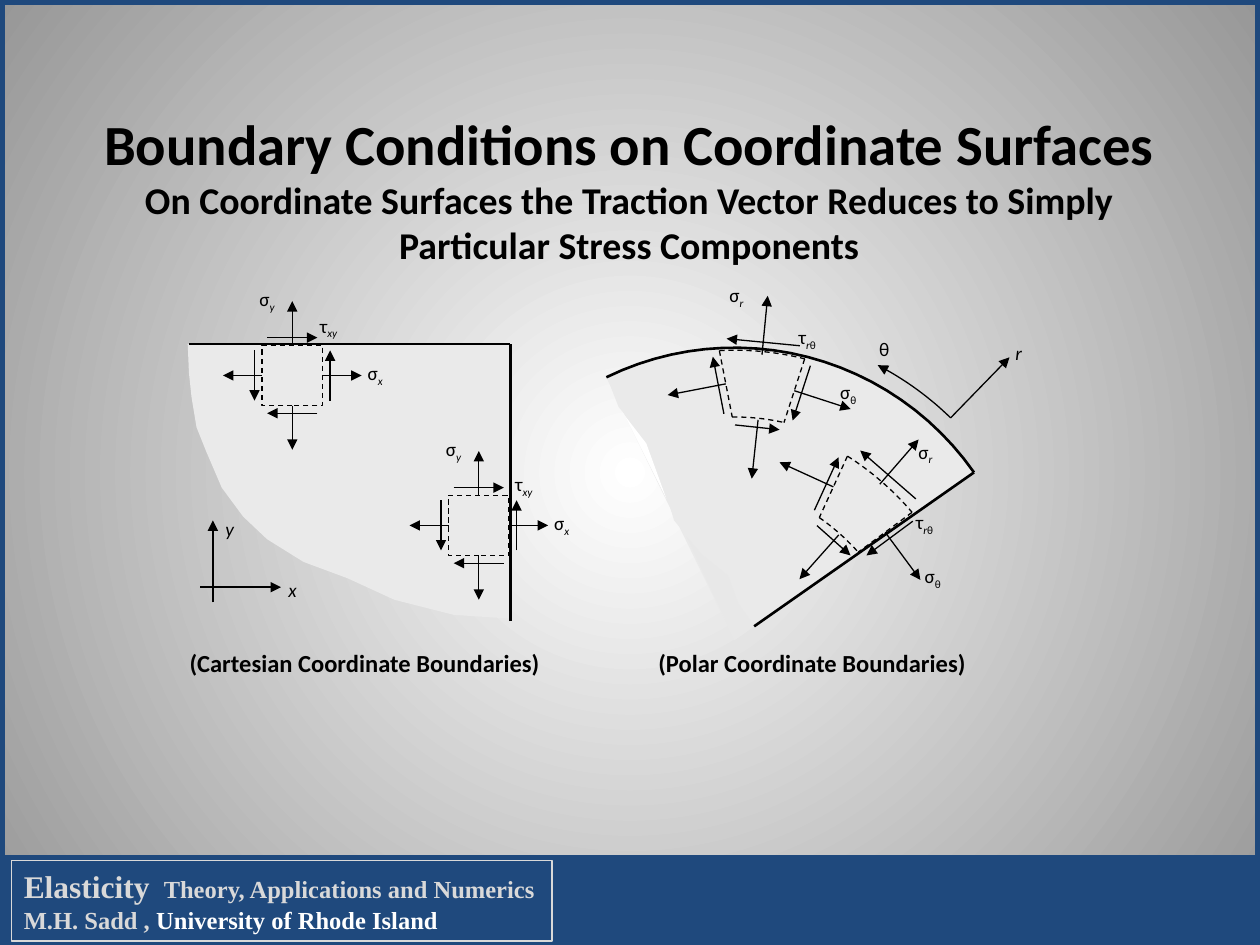
"""Build a slide of stress boundary conditions on Cartesian and polar surfaces."""
import math

import lxml.etree
import pptx
import pptx.dml.color
import pptx.enum.dml
import pptx.enum.shapes
import pptx.enum.text
import pptx.oxml.ns
import pptx.util

Inches, Pt = pptx.util.Inches, pptx.util.Pt
RGBColor = pptx.dml.color.RGBColor
qn = pptx.oxml.ns.qn
RECTANGLE = pptx.enum.shapes.MSO_SHAPE.RECTANGLE
STRAIGHT = pptx.enum.shapes.MSO_CONNECTOR.STRAIGHT

BLACK = RGBColor(0x00, 0x00, 0x00)
WHITE = RGBColor(0xFF, 0xFF, 0xFF)
EDGE_GRAY = RGBColor(0x97, 0x97, 0x97)
BODY_GRAY = RGBColor(0xEA, 0xEA, 0xEA)
CUT_GRAY = RGBColor(0xE8, 0xE8, 0xE8)
RULE_GRAY = RGBColor(0xD9, 0xD9, 0xD9)
NAVY = RGBColor(0x1F, 0x49, 0x7D)
THIN, THICK = 0.75, 1.5


def arc(centre, radius, start, end, steps=24):
    """Return points on a circle, with angles in degrees clockwise from the top."""
    angles = [math.radians(start + (end - start) * step / steps) for step in range(steps + 1)]
    return [(centre[0] + radius * math.sin(a), centre[1] - radius * math.cos(a)) for a in angles]


def stroke(item, weight, style="solid", color=BLACK):
    """Draw the line of a shape or connector as solid, dash or arrow."""
    item.line.color.rgb = color
    item.line.width = Pt(weight)
    if style == "dash":
        item.line.dash_style = pptx.enum.dml.MSO_LINE.DASH
    if style == "arrow":
        outline = item.element.xpath(".//a:ln")[0]
        lxml.etree.SubElement(outline, qn("a:tailEnd"), type="triangle")


deck = pptx.Presentation()
deck.slide_width, deck.slide_height = Inches(10), Inches(7.5)
page = deck.slides.add_slide(deck.slide_layouts[6])

backdrop = page.background.fill
backdrop.gradient()
for stop, position, color in zip(backdrop.gradient_stops, (0, 1), (WHITE, EDGE_GRAY)):
    stop.position = position
    stop.color.rgb = color
gradient = page.element.xpath(".//p:bg//a:gradFill")[0]
gradient.remove(gradient.find(qn("a:lin")))
circle = lxml.etree.SubElement(gradient, qn("a:path"), path="circle")
lxml.etree.SubElement(circle, qn("a:fillToRect"), l="50000", t="50000", r="50000", b="50000")

pole, body_radius, first_angle, last_angle = (5.83, 5.08), 2.32, -26, 55
axis_radius, axis_tip, axis_angle = 2.46, 3.13, 44.2
rim = arc(pole, body_radius, first_angle, last_angle)
theta_axis = arc(pole, axis_radius, axis_angle, 27.5)
broken_edge = [(4.82, 3), (4.91, 3.23), (5.14, 3.51), (5.26, 3.83), (5.35, 4.13),
               (5.57, 4.4), (5.78, 4.57), (5.86, 4.79), (5.99, 4.97)]
upper_cut = [(4.96, 3.3), (5.13, 3.52), (5.29, 3.96)]
lower_cut = [(5.45, 4.26), *broken_edge[5:], pole]
corner_x, corner_y = 4.05, 2.73
cartesian_body = [(1.49, corner_y), (corner_x, corner_y), (corner_x, 4.91), (3.6, 4.88),
                  (3.13, 4.76), (2.76, 4.59), (2.41, 4.46), (2.12, 4.28), (1.93, 4.1),
                  (1.76, 3.87), (1.64, 3.59), (1.56, 3.39), (1.52, 3.15), (1.5, 2.96)]

areas = [(rim + [pole], BODY_GRAY), (broken_edge, BODY_GRAY), (lower_cut, CUT_GRAY),
         (upper_cut, WHITE), (cartesian_body, BODY_GRAY)]
curves = [(rim, THICK, "solid"), (theta_axis, THIN, "arrow")]
segments = [
    (*arc(pole, 0.19, last_angle, last_angle, 1)[:1], rim[-1], THICK, "solid"),
    ((1.5, corner_y), (corner_x, corner_y), THICK, "solid"),
    ((corner_x, 4.93), (corner_x, corner_y), THICK, "solid"),
    (theta_axis[0], arc(pole, axis_tip, axis_angle, axis_angle, 1)[0], THIN, "arrow"),
    ((1.59, 4.66), (2.23, 4.66), THIN, "arrow"),
    ((1.69, 4.78), (1.69, 4.13), THIN, "arrow"),
]

elements = []
for centre, turn in ((pole, 0), ((5.49, 5.56), 35.5)):
    outer = arc(centre, 2.3, turn - 3, turn + 14)
    inner = arc(centre, 1.77, turn - 0.6, turn + 12.8)
    curves += [(outer, THIN, "dash"), (inner, THIN, "dash")]
    segments += [(outer[end], inner[end], THIN, "dash") for end in (0, -1)]
    corners = [outer[0], outer[-1], inner[-1], inner[0]]
    elements.append((corners, None, (0.47, 0.47), (0.1, 0.06), 0.86, -1))

for points, color in areas + [(points, None) for points, weight, style in curves]:
    vertices = [(Inches(x), Inches(y)) for x, y in points]
    builder = page.shapes.build_freeform(*vertices[0])
    builder.add_line_segments(vertices[1:], close=color is not None)
    region = builder.convert_to_shape()
    region.shadow.inherit = False
    if color is None:
        region.fill.background()
        stroke(region, *next((w, s) for p, w, s in curves if p is points))
    else:
        region.fill.solid()
        region.fill.fore_color.rgb = color
        region.line.fill.background()

side = 0.48
for left, top in ((2.08, 2.74), (3.56, 3.93)):
    square = page.shapes.add_shape(RECTANGLE, Inches(left), Inches(top), Inches(side), Inches(side))
    square.shadow.inherit = False
    square.fill.solid()
    square.fill.fore_color.rgb = BODY_GRAY
    stroke(square, THIN, "dash")
    right, bottom = left + side, top + side
    corners = [(left, top), (right, top), (right, bottom), (left, bottom)]
    elements.append((corners, square, (0.35, 0.31), (0.06, 0.06), 0.83, 1))

joints = {}
for corners, square, reaches, gaps, shear_share, shear_sign in elements:
    for face in range(4):
        (x1, y1), (x2, y2) = corners[face], corners[(face + 1) % 4]
        length = math.hypot(x2 - x1, y2 - y1)
        along_x, along_y = (x2 - x1) / length, (y2 - y1) / length
        normal_x, normal_y = along_y, -along_x
        middle_x, middle_y = (x1 + x2) / 2, (y1 + y2) / 2
        reach, gap = reaches[face % 2], gaps[min(face, 1)]
        tip = (middle_x + reach * normal_x, middle_y + reach * normal_y)
        if square is not None:
            joints[len(segments)] = (square, -face % 4)
        segments.append(((middle_x, middle_y), tip, THIN, "arrow"))
        half = shear_sign * (-1) ** face * shear_share * length / 2
        shear_x, shear_y = middle_x + gap * normal_x, middle_y + gap * normal_y
        shear_ends = [(shear_x + s * half * along_x, shear_y + s * half * along_y) for s in (-1, 1)]
        segments.append((*shear_ends, THIN, "arrow"))

for index, (start, end, weight, style) in enumerate(segments):
    connector = page.shapes.add_connector(STRAIGHT, *(Inches(value) for value in (*start, *end)))
    stroke(connector, weight, style)
    lxml.etree.SubElement(connector.element.spPr, qn("a:effectLst"))
    if index in joints:
        connector.begin_connect(*joints[index])

labels = [
    ("σ", ("θ",), [(6.57, 2.94), (7.24, 4.4)]),
    ("σ", ("r",), [(5.69, 2.17), (7.19, 3.41)]),
    ("τ", ("r", "θ"), [(6.24, 2.5), (7.17, 3.97)]),
    ("σ", ("x",), [(2.82, 2.79), (4.3, 3.98)]),
    ("σ", ("y",), [(1.96, 2.2), (3.44, 3.39)]),
    ("τ", ("xy",), [(2.44, 2.41), (3.99, 3.67)]),
    ("r", (), [(7.96, 2.63)]),
    ("θ", (), [(6.88, 2.6)]),
    ("x", (), [(2.19, 4.51)]),
    ("y", (), [(1.69, 4.03)]),
]
for symbol, subscripts, places in labels:
    for left, top in places:
        box = page.shapes.add_textbox(Inches(left), Inches(top), Inches(0.43), Inches(0.42))
        box.text_frame.word_wrap = True
        para = box.text_frame.paragraphs[0]
        para.line_spacing, para.space_after = 1.15, Pt(10)
        for position, text in enumerate((symbol, *subscripts)):
            span = para.add_run()
            span.text = text
            span.font.name, span.font.size = "Calibri", Pt(11)
            span.font.color.rgb = BLACK
            span.font.italic = text.isascii()
            if position > 0:
                span.font._element.set("baseline", "-25000")

headings = [
    (0.53, 0.8, 8.93, 1.38, "Boundary Conditions on Coordinate Surfaces\vOn Coordinate Surfaces the "
     "Traction Vector Reduces to Simply Particular Stress Components", (32.4, 21.6)),
    (1.38, 5.11, 3.03, 0.3, "(Cartesian Coordinate Boundaries)", (14,)),
    (5, 5.11, 2.89, 0.3, "(Polar Coordinate Boundaries)", (14,)),
]
for *frame, text, sizes in headings:
    box = page.shapes.add_textbox(*(Inches(value) for value in frame))
    box.text_frame.word_wrap = True
    box.text_frame.vertical_anchor = pptx.enum.text.MSO_ANCHOR.MIDDLE
    para = box.text_frame.paragraphs[0]
    para.alignment = pptx.enum.text.PP_ALIGN.CENTER
    para.text = text
    for span, size in zip(para.runs, sizes):
        span.font.name, span.font.size, span.font.bold = "Calibri", Pt(size), True
        span.font.color.rgb = BLACK

panels = []
for *frame, color, border, weight in ((0, 0, 10, 7.5, None, NAVY, 6), (0, 6.8, 10, 0.7, NAVY, NAVY, 2),
                                      (0.09, 6.83, 4.29, 0.64, None, RULE_GRAY, THIN)):
    panel = page.shapes.add_shape(RECTANGLE, *(Inches(value) for value in frame))
    panel.shadow.inherit = False
    if color is None:
        panel.fill.background()
    else:
        panel.fill.solid()
        panel.fill.fore_color.rgb = color
    stroke(panel, weight, color=border)
    panels.append(panel)

credit_box = panels[-1]
credit_box.text_frame.word_wrap = False
credit_lines = [
    [("Elasticity", 18, RULE_GRAY, 0), (" ", 16, RULE_GRAY, 400),
     ("Theory, Applications and Numerics", 14, RULE_GRAY, 0)],
    [("M.H. Sadd , ", 14, RULE_GRAY, 0), ("University of Rhode Island", 14, WHITE, 0)],
]
for row, spans in enumerate(credit_lines):
    para = credit_box.text_frame.add_paragraph() if row else credit_box.text_frame.paragraphs[0]
    para.alignment = pptx.enum.text.PP_ALIGN.LEFT
    for text, size, color, spacing in spans:
        span = para.add_run()
        span.text = text
        span.font.name, span.font.size, span.font.bold = "Times New Roman", Pt(size), True
        span.font.color.rgb = color
        span.font._element.set("spc", str(spacing))

deck.save("out.pptx")
